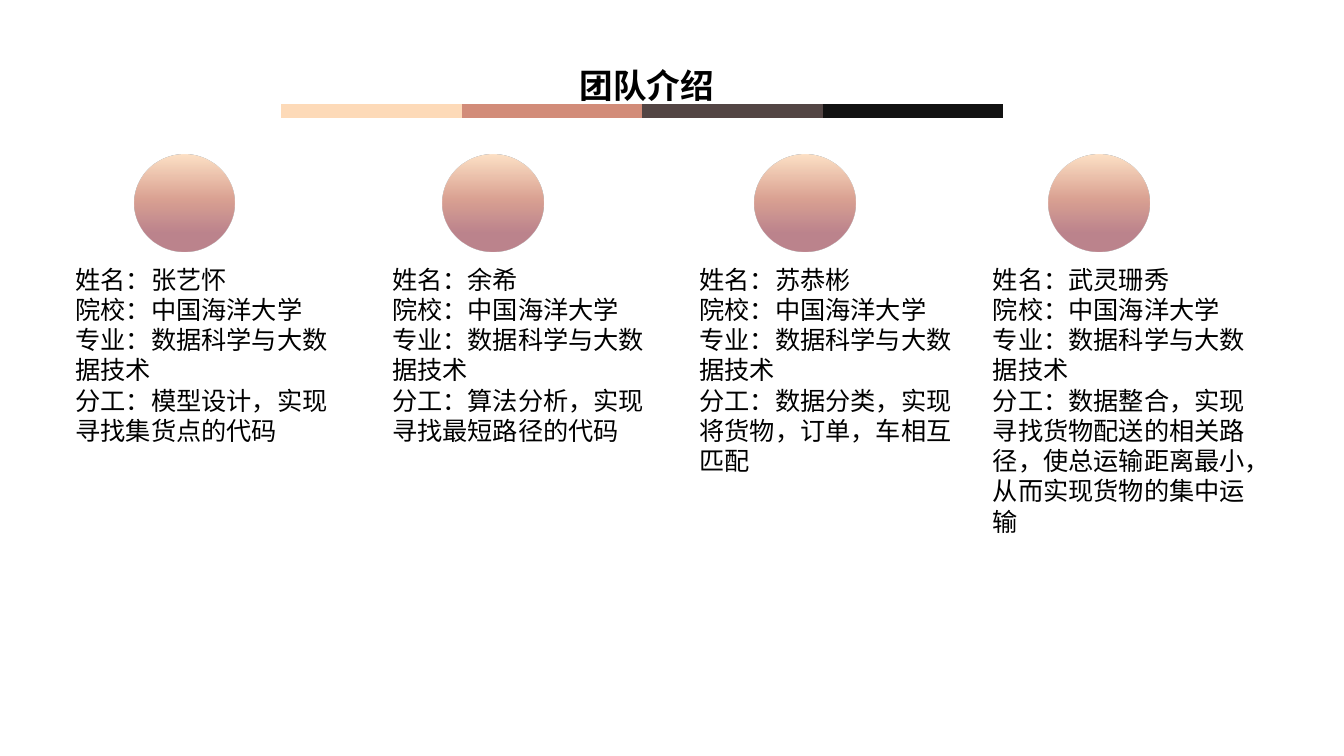
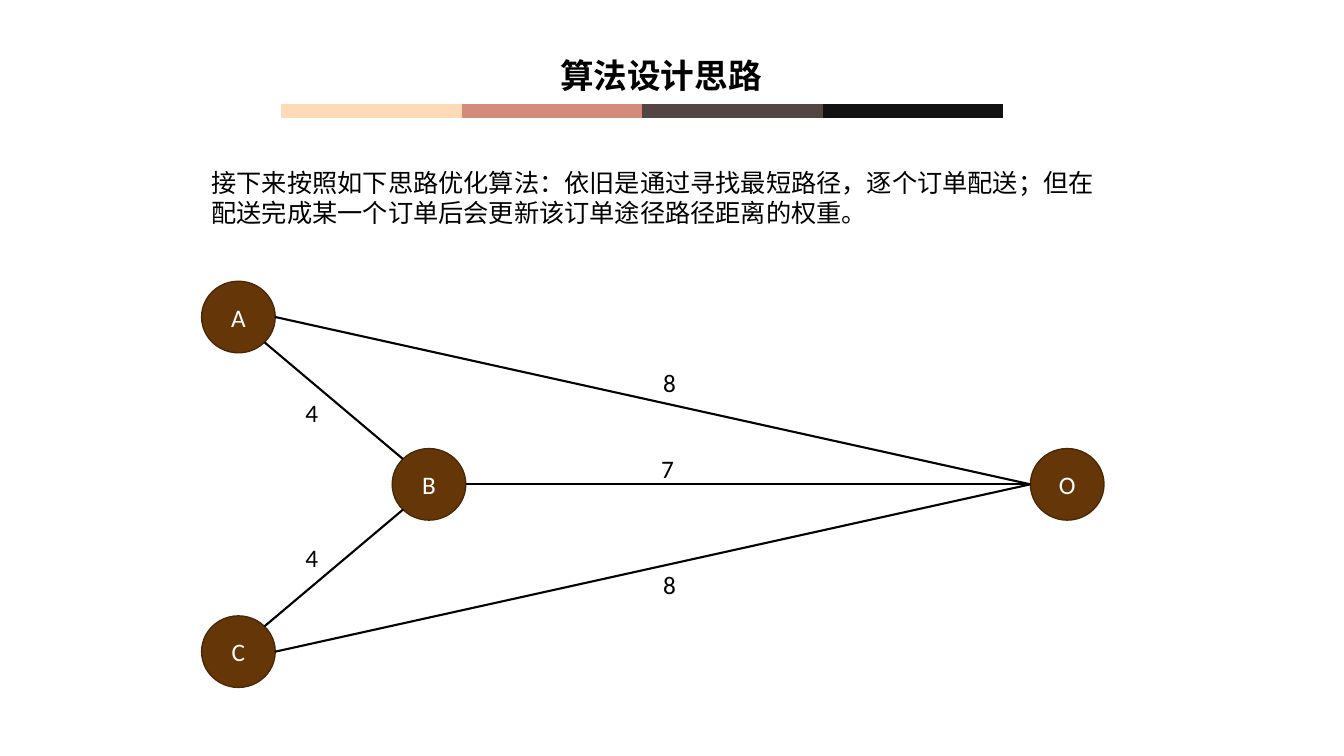
from math import cos, radians, sin

from lxml.etree import SubElement
from pptx import Presentation
from pptx.dml.color import RGBColor
from pptx.enum.shapes import MSO_CONNECTOR, MSO_SHAPE
from pptx.enum.text import MSO_ANCHOR, PP_ALIGN
from pptx.oxml.ns import qn
from pptx.util import Inches, Pt

COLORS = {
    "peach": "FDDAB8", "coral": "D28C79", "taupe": "534544", "ink": "121212",
    "rose": "AC6672", "brown": "653607", "edge": "4B2805",
    "black": "000000", "white": "FFFFFF",
}
BANDS = ["peach", "coral", "taupe", "ink"]
STOPS = [(0, "peach"), (45, "coral"), (80, "rose"), (100, "rose")]
NODE_W, NODE_H = 0.73, 0.71


def color(name):
    return RGBColor.from_string(COLORS[name])


class Deck:
    font = "Calibri"

    def __init__(self):
        self.prs = Presentation()
        self.prs.slide_width = Inches(13.33)
        self.prs.slide_height = Inches(7.5)
        self.slide = None

    def style(self, para, size=18, tint="black", font=None, bold=False):
        para.font.size = Pt(size)
        para.font.name = font or self.font
        para.font.bold = bold
        para.font.color.rgb = color(tint)

    def page(self, title, box, font, align, gap):
        """Start a slide with its title and the four-colour band."""
        self.slide = self.prs.slides.add_slide(self.prs.slide_layouts[5])
        head = self.slide.shapes.title
        head.left, head.top, head.width, head.height = map(Inches, box)
        frame = head.text_frame
        frame.text = title
        frame.word_wrap = True
        frame.vertical_anchor = MSO_ANCHOR.TOP
        para = frame.paragraphs[0]
        para.alignment = align
        para.line_spacing = gap
        para.space_before = Pt(10)
        self.style(para, 24, font=font, bold=True)
        step = 1.79
        for i, tint in enumerate(BANDS):
            x = 2.79 + i * step
            self.line((x, 1.1), (x + step, 1.1), tint, 10)

    def line(self, start, end, tint="black", width=1.5):
        ends = [Inches(v) for v in (*start, *end)]
        link = self.slide.shapes.add_connector(MSO_CONNECTOR.STRAIGHT, *ends)
        link.line.color.rgb = color(tint)
        link.line.width = Pt(width)
        SubElement(link._element.spPr, qn("a:effectLst"))

    def text(self, lines, x, y, w, h, wrap=True):
        box = self.slide.shapes.add_textbox(*map(Inches, (x, y, w, h)))
        frame = box.text_frame
        frame.word_wrap = wrap
        frame.text = "\n".join(lines)
        for para in frame.paragraphs:
            self.style(para)

    def oval(self, x, y, w, h):
        shape = self.slide.shapes.add_shape(
            MSO_SHAPE.OVAL, *map(Inches, (x, y, w, h)))
        shape.shadow.inherit = False
        return shape

    def badge(self, x, y):
        """Circle with a translucent vertical gradient."""
        shape = self.oval(x, y, 1, 0.97)
        shape.line.fill.background()
        shape.fill.gradient()
        shape.fill.gradient_angle = 270
        stops = shape._element.spPr.find(qn("a:gradFill")).find(qn("a:gsLst"))
        for old in list(stops):
            stops.remove(old)
        for pos, tint in STOPS:
            stop = SubElement(stops, qn("a:gs"), pos=str(pos * 1000))
            rgb = SubElement(stop, qn("a:srgbClr"), val=COLORS[tint])
            SubElement(rgb, qn("a:alpha"), val="80000")

    def node(self, name, x, y):
        shape = self.oval(x, y, NODE_W, NODE_H)
        shape.fill.solid()
        shape.fill.fore_color.rgb = color("brown")
        shape.line.color.rgb = color("edge")
        shape.line.width = Pt(1)
        frame = shape.text_frame
        frame.text = name
        frame.vertical_anchor = MSO_ANCHOR.MIDDLE
        para = frame.paragraphs[0]
        para.alignment = PP_ALIGN.CENTER
        self.style(para, tint="white")


def rim(spot, angle):
    """Point on a node's outline, clockwise from its right side."""
    x, y = spot
    turn = radians(angle)
    return (x + NODE_W / 2 * (1 + cos(turn)), y + NODE_H / 2 * (1 + sin(turn)))


def team(deck):
    deck.page("团队介绍", (5.65, 0.47, 1.83, 0.4), "League Spartan",
              PP_ALIGN.LEFT, 1.3)
    # Badge left, text left, name, task
    people = [
        (1.33, 0.65, "张艺怀", "模型设计，实现寻找集货点的代码"),
        (4.39, 3.79, "余希", "算法分析，实现寻找最短路径的代码"),
        (7.48, 6.84, "苏恭彬", "数据分类，实现将货物，订单，车相互匹配"),
        (10.4, 9.75, "武灵珊秀",
         "数据整合，实现寻找货物配送的相关路径，使总运输距离最小，"
         "从而实现货物的集中运输"),
    ]
    for left, x, name, task in people:
        deck.badge(left, 1.53)
        deck.text([f"姓名：{name}", "院校：中国海洋大学",
                   "专业：数据科学与大数据技术", f"分工：{task}"],
                  x, 2.57, 2.7, 2.22)


def graph(deck):
    deck.page("算法设计思路", (4.26, 0.54, 4.59, 0.4), "Noto Sans CJK SC",
              PP_ALIGN.CENTER, 0.9)
    deck.text(["接下来按照如下思路优化算法：依旧是通过寻找最短路径，逐个订单配送；"
               "但在配送完成某一个订单后会更新该订单途径路径距离的权重。"],
              2, 1.61, 8.95, 1.11)
    # Nodes
    spots = {"A": (2, 2.79), "B": (3.89, 4.45),
             "O": (10.22, 4.45), "C": (2, 6.11)}
    for name, spot in spots.items():
        deck.node(name, *spot)
    # Edges: both ends with their angles, then weight and its place
    edges = [
        ("A", 0, "O", 180, "8", 6.48, 3.59),
        ("B", 0, "O", 180, "7", 6.46, 4.45),
        ("C", 0, "O", 180, "8", 6.48, 5.6),
        ("A", 45, "B", 225, "4", 2.93, 3.89),
        ("C", 315, "B", 135, "4", 2.93, 5.33),
    ]
    for a, out, b, into, weight, x, y in edges:
        deck.line(rim(spots[a], out), rim(spots[b], into))
        deck.text([weight], x, y, 0.34, 0.4, wrap=False)


def main():
    deck = Deck()
    team(deck)
    graph(deck)
    deck.prs.save("out.pptx")


if __name__ == "__main__":
    main()
